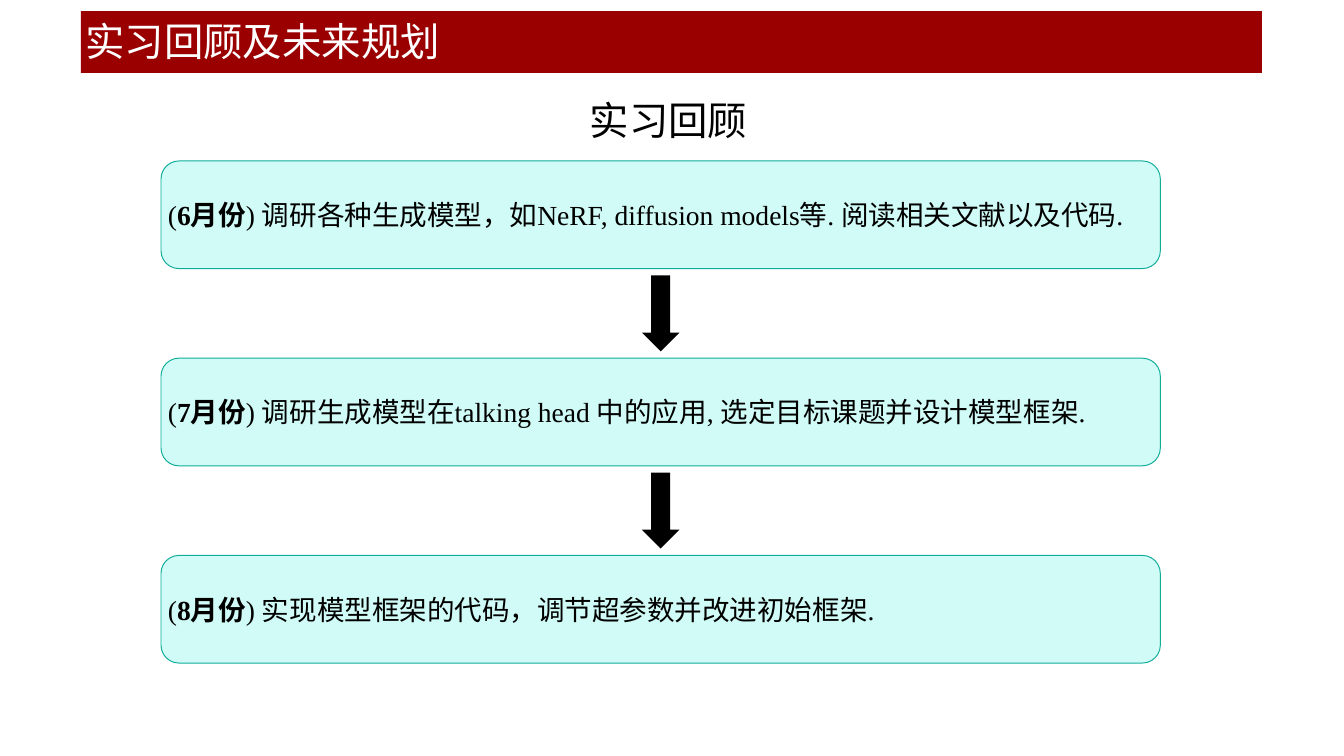
from pptx import Presentation
from pptx.dml.color import RGBColor
from pptx.enum import shapes, text
from pptx.util import Cm, Pt

HUES = {"banner": "9B0000", "card": "D0FBF6", "edge": "10AD9B",
        "ink": "000000", "light": "FFFFFF"}
SERIF, SANS = "Times New Roman", "Noto Sans CJK SC"
KIND = shapes.MSO_SHAPE
STEPS = [
    ("6月份", "调研各种生成模型，如NeRF, diffusion models等. 阅读相关文献以及代码."),
    ("7月份", "调研生成模型在talking head 中的应用, 选定目标课题并设计模型框架."),
    ("8月份", "实现模型框架的代码，调节超参数并改进初始框架."),
]


def hue(name):
    return RGBColor.from_string(HUES[name])


def block(slide, kind, box, fill, edge=None):
    shape = slide.shapes.add_shape(kind, *map(Cm, box))
    shape.shadow.inherit = False
    shape.fill.solid()
    shape.fill.fore_color.rgb = hue(fill)
    if edge:
        shape.line.color.rgb = hue(edge)
        shape.line.width = Pt(1)
    else:
        shape.line.fill.background()


def label(slide, box, runs, size, face=SERIF, ink="ink"):
    """Add a one-paragraph text box from (words, bold) runs."""
    frame = slide.shapes.add_textbox(*map(Cm, box)).text_frame
    frame.word_wrap = True
    para = frame.paragraphs[0]
    for words, bold in runs:
        run = para.add_run()
        run.text = words
        if bold:
            run.font.bold = True
    para.font.size = Pt(size)
    para.font.name = face
    para.font.color.rgb = hue(ink)
    return frame


def banner(slide, box, words):
    left, top, width, height = box
    block(slide, KIND.RECTANGLE, box, "banner")
    frame = label(slide, (left - 0.08, top + 0.03, width, height - 0.12),
                  [(words, False)], 40, ink="light")
    frame.vertical_anchor = text.MSO_ANCHOR.MIDDLE


def heading(slide, box, words):
    frame = label(slide, box, [(words, False)], 40, SANS)
    frame.paragraphs[0].alignment = text.PP_ALIGN.CENTER


def card(slide, box, month, task):
    left, top, width, height = box
    block(slide, KIND.ROUNDED_RECTANGLE, box, "card", "edge")
    frame = label(slide, (left, top + 1.21, width, 1.45),
                  [("(", False), (month, True), (") " + task, False)], 28)
    frame.auto_size = text.MSO_AUTO_SIZE.SHAPE_TO_FIT_TEXT


def flow(slide, box, steps):
    """Stack the cards evenly, with a down arrow in each gap."""
    left, top, width, height = box
    tall, wide, drop = 3.86, 1.35, 2.72
    pitch = (height - tall) / (len(steps) - 1)
    for i, (month, task) in enumerate(steps):
        y = top + i * pitch
        card(slide, (left, y, width, tall), month, task)
        if i:
            gap = pitch - tall
            block(slide, KIND.DOWN_ARROW,
                  (left + (width - wide) / 2, y - (gap + drop) / 2, wide, drop), "ink")


def main():
    deck = Presentation()
    deck.slide_width, deck.slide_height = Cm(48.16), Cm(27.1)
    slide = deck.slides.add_slide(deck.slide_layouts[6])
    banner(slide, (2.9, 0.4, 42.32, 2.21), "实习回顾及未来规划")
    heading(slide, (2.82, 3.33, 42.27, 2.2), "实习回顾")
    flow(slide, (5.77, 5.77, 35.81, 18), STEPS)
    deck.save("out.pptx")


if __name__ == "__main__":
    main()
